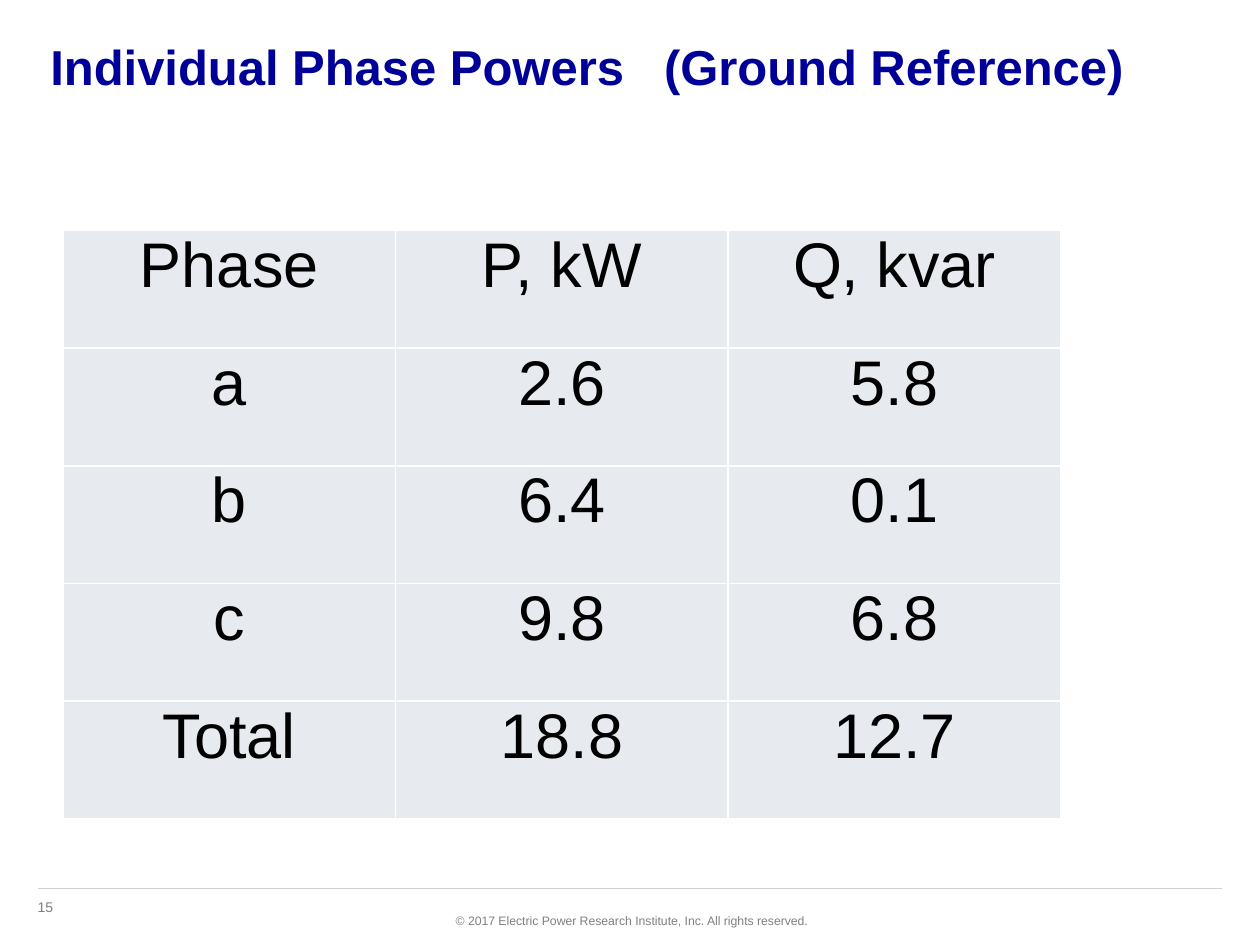
from lxml import etree
from pptx import Presentation
from pptx import util as u
from pptx.dml.color import RGBColor
from pptx.enum import shapes, text
from pptx.oxml import parse_xml
from pptx.oxml.ns import nsdecls, qn

NAVY = RGBColor(0x00, 0x00, 0x99)
BLACK = RGBColor(0x00, 0x00, 0x00)
GRAY = RGBColor(0x80, 0x80, 0x80)
RULE_GRAY = RGBColor(0xD1, 0xD1, 0xD1)
CELL_FILL = RGBColor(0xE7, 0xEA, 0xEF)
BORDER = "FFFFFF"

WIDTH, HEIGHT = 10, 7.5
MARGIN = 0.03  # share of the slide width

POWERS = [
    ("Phase", "P, kW", "Q, kvar"),
    ("a", "2.6", "5.8"),
    ("b", "6.4", "0.1"),
    ("c", "9.8", "6.8"),
    ("Total", "18.8", "12.7"),
]


class SlideWriter:
    """Style and current slide; places are shares of the slide's size."""

    font = "Arial"

    def __init__(self, slide):
        self.slide = slide

    def box(self, left, top, width, height):
        return (u.Inches(left * WIDTH), u.Inches(top * HEIGHT),
                u.Inches(width * WIDTH), u.Inches(height * HEIGHT))

    def style(self, paragraph, size, color, align, bold=False):
        paragraph.alignment = align
        font = paragraph.font
        font.name, font.size, font.bold = self.font, u.Pt(size), bold
        font.color.rgb = color

    def title(self, words, place, tab):
        heading = self.slide.shapes.title
        heading.left, heading.top, heading.width, heading.height = self.box(*place)
        frame = heading.text_frame
        frame.text = words
        frame.word_wrap = True
        frame.auto_size = text.MSO_AUTO_SIZE.NONE
        frame.vertical_anchor = text.MSO_ANCHOR.TOP
        frame.margin_top = u.Inches(0.09)
        line = frame.paragraphs[0]
        stops = etree.SubElement(line._p.get_or_add_pPr(), qn("a:tabLst"))
        etree.SubElement(stops, qn("a:tab"), pos=str(u.Inches(tab)), algn="l")
        self.style(line, 28, NAVY, text.PP_ALIGN.LEFT, bold=True)

    def note(self, words, place, size, align, wrap=True):
        frame = self.slide.shapes.add_textbox(*self.box(*place)).text_frame
        frame.text = words
        frame.word_wrap = wrap
        frame.auto_size = text.MSO_AUTO_SIZE.SHAPE_TO_FIT_TEXT
        self.style(frame.paragraphs[0], size, GRAY, align)

    def rule(self, top):
        left, y, right, _ = self.box(MARGIN, top, 1 - MARGIN, 0)
        line = self.slide.shapes.add_connector(
            shapes.MSO_CONNECTOR.STRAIGHT, left, y, right, y)
        line.line.color.rgb = RULE_GRAY
        line.line.width = u.Pt(0.75)
        etree.SubElement(line._element.spPr, qn("a:effectLst"))

    def table(self, rows, place):
        grid = self.slide.shapes.add_table(
            len(rows), len(rows[0]), *self.box(*place)).table
        grid.first_row = grid.horz_banding = False
        for r, row in enumerate(rows):
            for c, words in enumerate(row):
                self.cell(grid.cell(r, c), words)

    def cell(self, cell, words):
        cell.text = words
        cell.margin_left = cell.margin_right = u.Inches(0.07)
        cell.margin_top = cell.margin_bottom = 0
        self.style(cell.text_frame.paragraphs[0], 36, BLACK, text.PP_ALIGN.CENTER)
        properties = cell._tc.get_or_add_tcPr()
        for side in ("lnL", "lnR", "lnT", "lnB"):
            properties.append(parse_xml(
                f'<a:{side} {nsdecls("a")} w="{u.Pt(1)}"><a:solidFill>'
                f'<a:srgbClr val="{BORDER}"/></a:solidFill></a:{side}>'))
        cell.fill.solid()
        cell.fill.fore_color.rgb = CELL_FILL


def main():
    deck = Presentation()
    deck.slide_width, deck.slide_height = u.Inches(WIDTH), u.Inches(HEIGHT)
    writer = SlideWriter(deck.slides.add_slide(deck.slide_layouts[5]))

    # Footer
    writer.note("15", (0.02, 7.08 / HEIGHT, 0.066, 0.24 / HEIGHT),
                8, text.PP_ALIGN.LEFT)
    writer.rule(0.94)
    writer.note("© 2017 Electric Power Research Institute, Inc. All rights reserved.",
                (0.349, 0.96, 0.302, 0.22 / HEIGHT),
                7, text.PP_ALIGN.RIGHT, wrap=False)

    # Title, with its second part at a tab stop
    writer.title("Individual Phase Powers\t(Ground Reference)",
                 (MARGIN, 0.2 / HEIGHT, 1 - 2 * MARGIN, 0.8 / HEIGHT), tab=4.87)

    # Phase powers
    writer.table(POWERS, (0.05, 1.83 / HEIGHT, 0.792, 4.67 / HEIGHT))

    deck.save("out.pptx")


if __name__ == "__main__":
    main()
